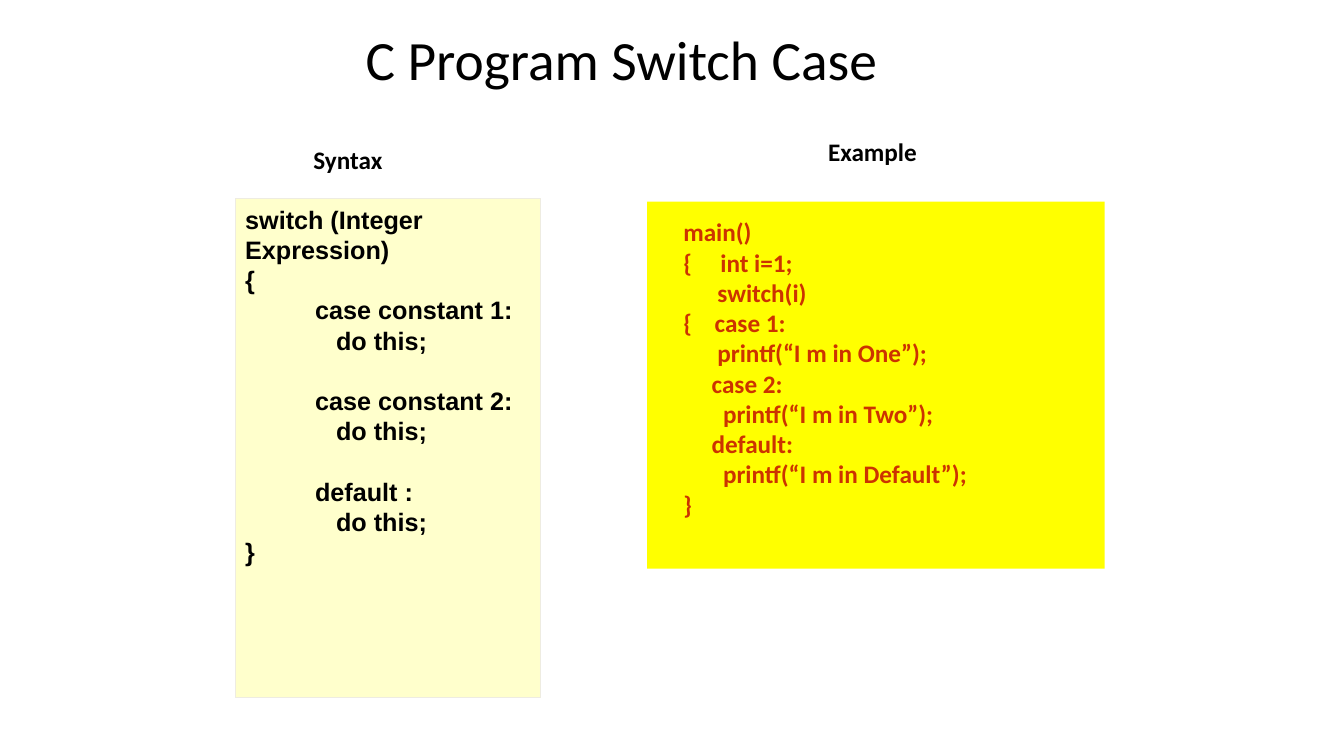
from pptx import Presentation
from pptx.dml.color import RGBColor
from pptx.enum.shapes import MSO_SHAPE
from pptx.enum.text import MSO_ANCHOR, MSO_AUTO_SIZE, PP_ALIGN
from pptx.util import Cm, Pt

RECTANGLE = MSO_SHAPE.RECTANGLE
TOP, MIDDLE = MSO_ANCHOR.TOP, MSO_ANCHOR.MIDDLE
LEFT, CENTER = PP_ALIGN.LEFT, PP_ALIGN.CENTER
NO_AUTOFIT = MSO_AUTO_SIZE.NONE
TITLE_ONLY = 5

SYNTAX = [
    "switch (Integer Expression)",
    "{",
    "          case constant 1:",
    "             do this;",
    "          case constant 2:",
    "             do this;",
    "          default :",
    "             do this;",
    "}",
]
SYNTAX_GAPS = (4, 6)
EXAMPLE = [
    "main()",
    "{     int i=1;",
    "      switch(i)",
    "{    case 1:",
    "      printf(“I m in One”);",
    "     case 2:",
    "       printf(“I m in Two”);",
    "     default:",
    "       printf(“I m in Default”);",
    "}",
]


def color(code):
    """Turn a hex string into a colour."""
    return RGBColor.from_string(code)


class SlideBuilder:
    """Hold the text style and the current slide."""

    heading_font = "Calibri"
    code_font = "Arial"
    ink = "000000"
    size = 18
    line_height = 21.6
    side_inset = 0.25
    indent = 0.66

    def __init__(self, deck):
        """Add a title-only slide to the deck."""
        self.page = deck.slides.add_slide(deck.slide_layouts[TITLE_ONLY])

    def span(self, para, text, font, size, ink, bold):
        """Add one formatted run."""
        span = para.add_run()
        span.text = text
        span.font.name = font
        span.font.size = Pt(size)
        span.font.bold = bold
        span.font.color.rgb = color(ink)

    def title(self, text, left, top, width, height):
        """Place and format the title placeholder."""
        box = self.page.shapes.title
        box.left, box.top, box.width, box.height = map(Cm, (left, top, width, height))
        box.text_frame.vertical_anchor = MIDDLE
        para = box.text_frame.paragraphs[0]
        para.alignment = CENTER
        self.span(para, text, self.heading_font, 39.6, self.ink, False)

    def lines(self, box, lines, font, ink, inset, indent, gaps=()):
        """Write bold lines, with a blank line's space before those in gaps."""
        frame = box.text_frame
        frame.auto_size = NO_AUTOFIT
        frame.vertical_anchor = TOP
        frame.margin_left = frame.margin_right = Cm(self.side_inset)
        frame.margin_top = frame.margin_bottom = Cm(inset)
        for number, text in enumerate(lines):
            para = frame.add_paragraph() if number else frame.paragraphs[0]
            para.alignment = LEFT
            para.line_spacing = Pt(self.line_height)
            para.space_before = Pt(self.line_height if number in gaps else 0)
            if indent:
                para._p.get_or_add_pPr().set("marL", str(Cm(indent)))
            self.span(para, text, font, self.size, ink, True)

    def panel(self, left, top, width, height, fill, border=None):
        """Add a filled rectangle and return it."""
        box = self.page.shapes.add_shape(RECTANGLE, *map(Cm, (left, top, width, height)))
        box.shadow.inherit = False
        box.fill.solid()
        box.fill.fore_color.rgb = color(fill)
        if border:
            box.line.color.rgb = color(border)
            box.line.width = Pt(1)
        else:
            box.line.fill.background()
        box.text_frame.word_wrap = True
        return box

    def label(self, text, left, top, width, height):
        """Add a column heading."""
        box = self.page.shapes.add_textbox(*map(Cm, (left, top, width, height)))
        box.text_frame.word_wrap = False
        self.lines(box, [text], self.heading_font, self.ink, 0.38, self.indent)


def main():
    """Build and save the slide."""
    deck = Presentation()
    deck.slide_width, deck.slide_height = Cm(33.87), Cm(19.05)
    slide = SlideBuilder(deck)
    slide.title("C Program Switch Case", 4.23, 0.51, 22.86, 1.9)

    syntax = slide.panel(5.93, 5.01, 7.7, 12.57, "FFFFCC", "EEECE1")
    slide.lines(syntax, SYNTAX, slide.code_font, slide.ink, 0.13, 0, SYNTAX_GAPS)
    example = slide.panel(16.31, 5.08, 11.53, 9.25, "FFFF00")
    slide.lines(example, EXAMPLE, slide.heading_font, "CC3300", 0.38, slide.indent)

    slide.label("Syntax", 6.99, 3.25, 2.92, 1.55)
    slide.label("Example", 19.96, 3.05, 3.43, 1.55)
    deck.save("out.pptx")


if __name__ == "__main__":
    main()
